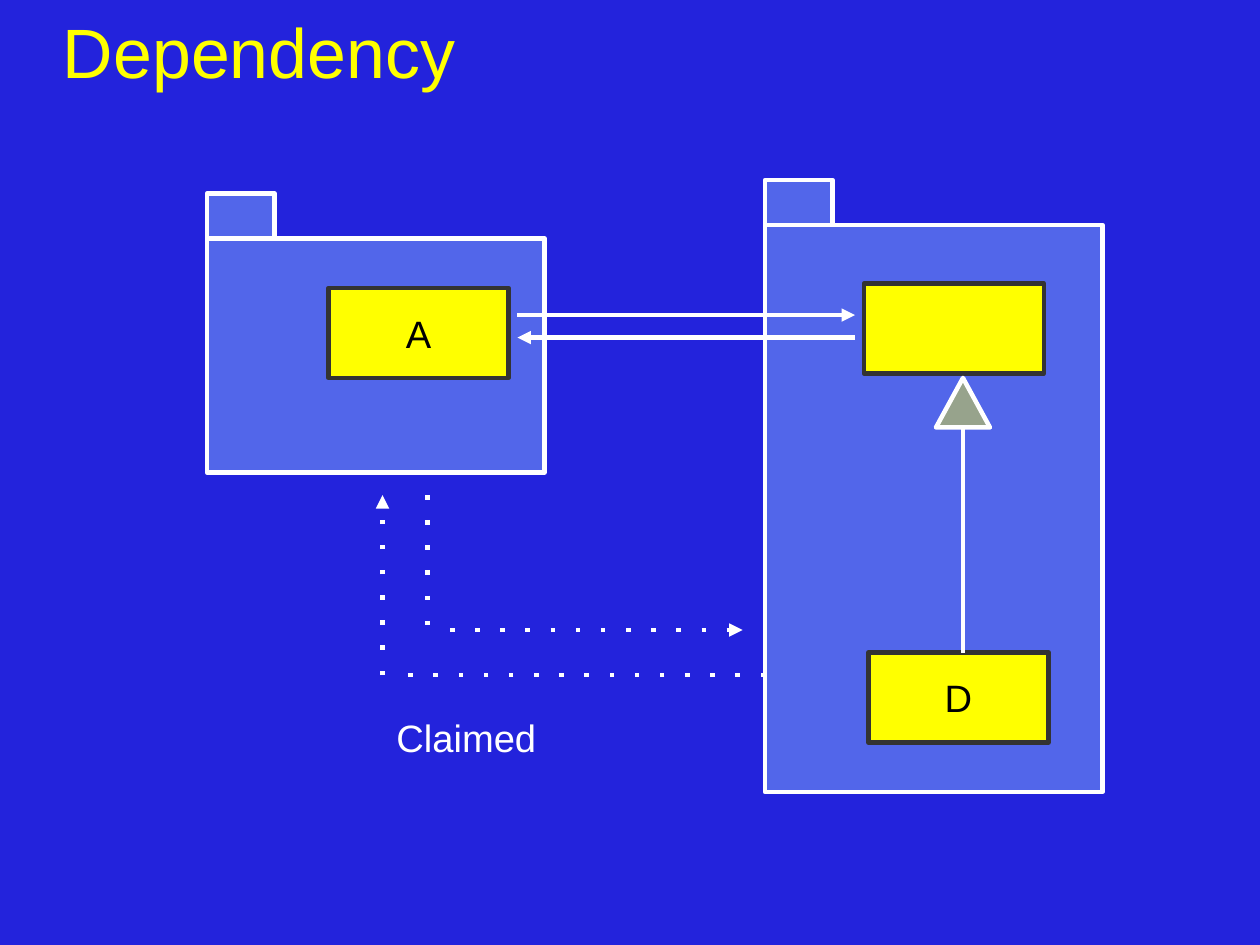
from pptx import Presentation
from pptx.dml.color import RGBColor
from pptx.enum import shapes, text
from pptx.oxml import ns
from pptx.util import Cm, Pt
from lxml import etree

COLORS = {
    "back": "2323DC",
    "title": "FFFF00",
    "package": "99CCFF",
    "class": "FFFF00",
    "border": "333333",
    "line": "FFFFFF",
    "label": "000000",
}
FONT = "Arial"
LINE_WIDTH = Pt(2.83)
CLASS_W, CLASS_H = 4, 2
TAB_W, TAB_H = 1.5, 1


def rgb(name):
    return RGBColor.from_string(COLORS[name])


def add_xml(parent, tag, **attrs):
    return etree.SubElement(parent, ns.qn(tag), **attrs)


def write(tf, words, size, color, align=text.PP_ALIGN.LEFT):
    p = tf.paragraphs[0]
    p.alignment = align
    r = p.add_run()
    r.text = words
    r.font.name, r.font.size = FONT, Pt(size)
    r.font.color.rgb = rgb(color)


def style_line(line, color):
    line.width = LINE_WIDTH
    line.color.rgb = rgb(color)


def add_figure(s, kind, box, fill, border="line", alpha=None):
    sp = s.shapes.add_shape(kind, *map(Cm, box))
    sp.shadow.inherit = False
    sp.fill.solid()
    sp.fill.fore_color.rgb = rgb(fill)
    if alpha:
        color = sp._element.spPr.find(".//" + ns.qn("a:srgbClr"))
        add_xml(color, "a:alpha", val=str(alpha * 1000))
    style_line(sp.line, border)
    add_xml(sp._element.spPr.find(ns.qn("a:ln")), "a:round")
    return sp


def add_line(s, start, end, dotted=False, arrow=False):
    c = s.shapes.add_connector(shapes.MSO_CONNECTOR.STRAIGHT, *map(Cm, start + end))
    style_line(c.line, "line")
    ln = c._element.spPr.find(ns.qn("a:ln"))
    if dotted:
        dash = add_xml(ln, "a:custDash")
        add_xml(dash, "a:ds", d="100000", sp="459000")
    add_xml(ln, "a:round")
    if arrow:
        add_xml(ln, "a:tailEnd", type="triangle")
    add_xml(c._element.spPr, "a:effectLst")


def add_title(s, box):
    tf = s.shapes.add_textbox(*map(Cm, box)).text_frame
    tf.word_wrap = True
    tf.margin_left = tf.margin_right = tf.margin_top = tf.margin_bottom = 0
    tf.vertical_anchor = text.MSO_ANCHOR.MIDDLE
    write(tf, "Dependency", 44, "title")


def add_package(s, left, top, width, height):
    """Folder whose tab sits on top of the given box."""
    for box in ((left, top, width, height), (left, top - TAB_H, TAB_W, TAB_H)):
        add_figure(s, shapes.MSO_SHAPE.RECTANGLE, box, "package", alpha=40)


def add_class(s, left, top, name=""):
    box = (left, top, CLASS_W, CLASS_H)
    sp = add_figure(s, shapes.MSO_SHAPE.RECTANGLE, box, "class", "border")
    if name:
        tf = sp.text_frame
        tf.vertical_anchor = text.MSO_ANCHOR.MIDDLE
        write(tf, name, 24, "label", text.PP_ALIGN.CENTER)


def add_inheritance(s, left, top, width, height):
    """Triangle head with a stem down to the bottom of the box."""
    head = 1.1
    middle = left + width / 2
    add_figure(s, shapes.MSO_SHAPE.ISOSCELES_TRIANGLE, (left, top, width, head),
               "class", alpha=40)
    add_line(s, (middle, top + head), (middle, top + height))


def add_associations(s, left, top, width, height):
    right, bottom = left + width, top + height
    add_line(s, (left, top), (right, top), arrow=True)
    add_line(s, (right, bottom), (left, bottom), arrow=True)


def add_claimed(s, left, top, width, height):
    """Two dotted elbows, one in each direction, with their label."""
    right, bottom = left + width, top + height
    inner_x, inner_y = left + 1, bottom - 1
    # Back to the left package
    add_line(s, (right, bottom), (left + 0.5, bottom), dotted=True)
    add_line(s, (left, bottom), (left, top), dotted=True, arrow=True)
    # Out to the right package
    add_line(s, (inner_x, top), (inner_x, inner_y), dotted=True)
    add_line(s, (inner_x + 0.5, inner_y), (right - 0.5, inner_y), dotted=True, arrow=True)
    # Label
    box = (left + 0.06, bottom + 0.75, 3.65, 1.22)
    tf = s.shapes.add_textbox(*map(Cm, box)).text_frame
    tf.word_wrap = False
    tf.auto_size = text.MSO_AUTO_SIZE.SHAPE_TO_FIT_TEXT
    write(tf, "Claimed", 24, "line")


def main():
    prs = Presentation()
    prs.slide_width, prs.slide_height = Cm(28), Cm(21)
    s = prs.slides.add_slide(prs.slide_layouts[6])
    s.background.fill.solid()
    s.background.fill.fore_color.rgb = rgb("back")

    add_title(s, (1.4, 0.05, 25.2, 2.16))
    # Left package
    add_package(s, 4.6, 5.3, 7.5, 5.2)
    add_class(s, 7.3, 6.4, "A")
    # Right package
    add_package(s, 17, 5, 7.5, 12.6)
    add_class(s, 19.2, 6.3)
    add_class(s, 19.3, 14.5, "D")
    add_inheritance(s, 20.8, 8.4, 1.2, 6.1)
    # Relations between the packages
    add_associations(s, 11.5, 7, 7.5, 0.5)
    add_claimed(s, 8.5, 11, 8.5, 4)

    prs.save("out.pptx")


if __name__ == "__main__":
    main()
